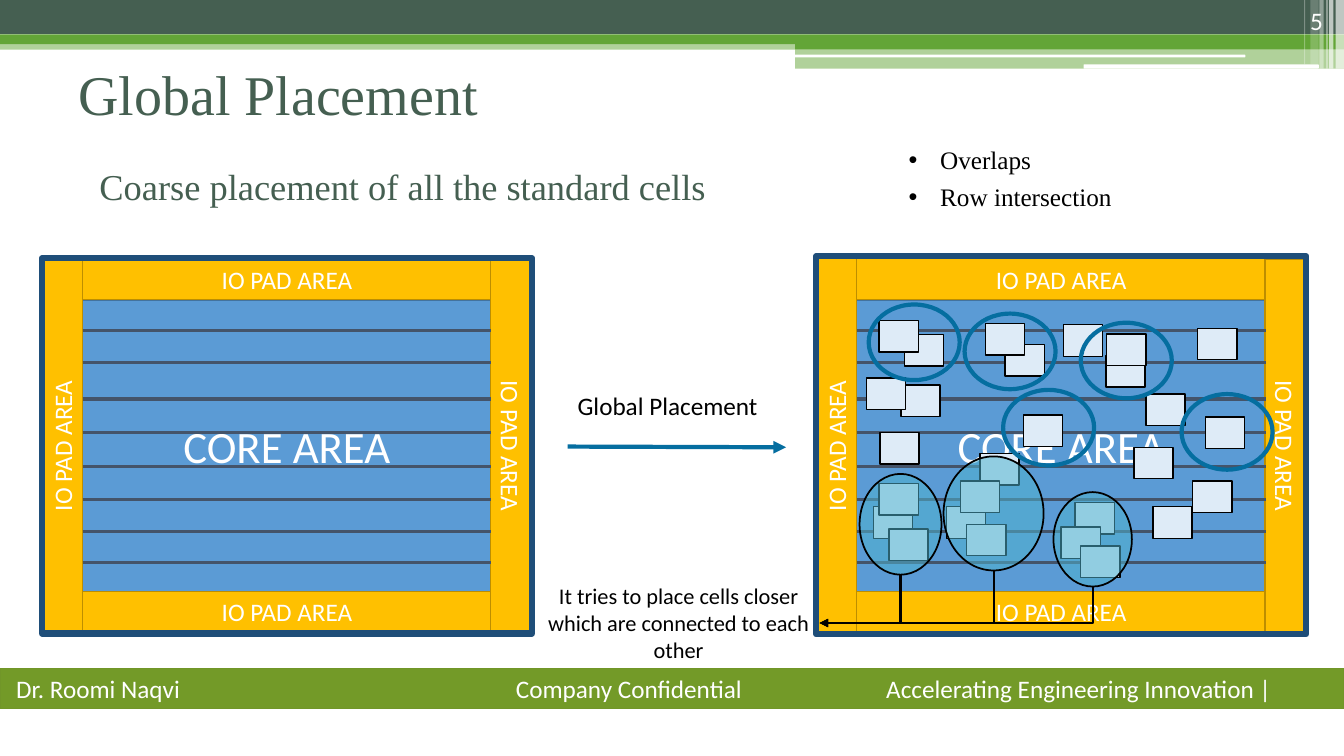
from lxml.etree import SubElement
from pptx import Presentation
from pptx.dml.color import RGBColor
from pptx.enum.shapes import MSO_CONNECTOR, MSO_SHAPE
from pptx.enum.text import MSO_ANCHOR, PP_ALIGN
from pptx.oxml.ns import qn
from pptx.util import Pt

COLORS = {
    "white": "FFFFFF", "black": "000000", "pine": "455F51", "green": "63A537",
    "footer": "739A28", "footer_line": "719629", "core": "5B9BD5",
    "core_line": "43739E", "pad": "FFC000", "pad_line": "BD8E00",
    "frame": "1F4E79", "row": "44546A", "cell": "DEEBF7",
    "accent": "056EA0", "cluster": "4EB3CF",
}
SERIF = "Times New Roman"
SANS = "Calibri"

STRIPES = [
    (0, 29, 960, 6.5, "green", 50), (0, 0, 960, 24.5, "pine", 100),
    (0, 24.5, 960, 7, "green", 100), (568, 28, 392, 7, "green", 100),
    (568, 34.5, 392, 14.5, "green", 50),
]
HIGHLIGHTS = [(567.5, 39, 322, 2), (774, 46, 168, 3)]
EDGE_BARS = [
    (954, 6, 49, 65), (949.5, 3, 49, 65), (947.5, 0.8, 49, 60),
    (942.5, 3, 49, 40), (936, 6, 46, 20), (931.5, 0.8, 46, 30),
]
ROW_TOPS = [236, 259, 285, 309, 333.5, 357, 379.5, 402]
CELLS = [
    (861, 298), (628.5, 309), (624, 362), (731, 296.5), (810, 319.5),
    (852, 343.5), (686, 323.5), (768, 359), (758, 376.5), (855.5, 234.5),
    (643.5, 275), (619, 270), (823.5, 362), (818.5, 281.5), (700, 324),
    (676, 362), (790, 254), (790.5, 238.5), (759.5, 232), (718, 246),
    (704, 231), (646, 239), (628, 229), (686, 343.5),
    (628, 345.5), (635, 378), (772, 390), (690.5, 374.5),
]
CELLS.remove((686, 323.5))
OVERLAPS = [(620.5, 217.5), (689, 224), (772, 230.5), (844, 281.5), (716.5, 278.5)]
CLUSTERS = [
    (614, 338.5, 58.5, 72), (752.5, 351.5, 56, 67.5), (674, 326, 71.5, 81.5),
]
NOTE_RIGHT, NOTE_MIDDLE = 585.5, 445


def rgb(name):
    return RGBColor.from_string(COLORS[name])


def set_attributes(target, values):
    for name, value in values.items():
        setattr(target, name, value)


def write(shape, text, size, color, font=SANS, align=PP_ALIGN.LEFT,
          anchor=MSO_ANCHOR.TOP, **frame_values):
    frame = shape.text_frame
    set_attributes(frame, {"word_wrap": True, "vertical_anchor": anchor, **frame_values})
    paragraph = frame.paragraphs[0]
    paragraph.alignment = align
    run = paragraph.add_run()
    run.text = text
    set_attributes(run.font, {"name": font, "size": Pt(size)})
    run.font.color.rgb = rgb(color)
    return paragraph


def add_text(slide, box, text, size, color="black", **options):
    text_box = slide.shapes.add_textbox(*map(Pt, box))
    return write(text_box, text, size, color, **options)


def add_block(slide, box, fill=None, line=None, width=1, opacity=100,
              kind=MSO_SHAPE.RECTANGLE):
    shape = slide.shapes.add_shape(kind, *map(Pt, box))
    shape.shadow.inherit = False
    if fill:
        shape.fill.solid()
        shape.fill.fore_color.rgb = rgb(fill)
        if opacity < 100:
            color = shape.fill._xPr.find(".//" + qn("a:srgbClr"))
            SubElement(color, qn("a:alpha"), val=str(opacity * 1000))
    else:
        shape.fill.background()
    if line:
        shape.line.color.rgb = rgb(line)
        shape.line.width = Pt(width)
    else:
        shape.line.fill.background()
    return shape


def add_line(slide, start, end, color, width, arrow=False, kind=MSO_CONNECTOR.STRAIGHT):
    line = slide.shapes.add_connector(kind, *map(Pt, (*start, *end)))
    line.line.color.rgb = rgb(color)
    line.line.width = Pt(width)
    properties = line._element.spPr
    if arrow:
        SubElement(properties.find(qn("a:ln")), qn("a:tailEnd"), type="triangle")
    SubElement(properties, qn("a:effectLst"))
    return line


def add_elbow(slide, start, end):
    middle_x, middle_y = (start[0] + end[0]) / 2, (start[1] + end[1]) / 2
    half_drop, half_run = (end[1] - start[1]) / 2, (start[0] - end[0]) / 2
    elbow = add_line(slide, (middle_x - half_drop, middle_y - half_run),
                     (middle_x + half_drop, middle_y + half_run),
                     "black", 1.5, True, MSO_CONNECTOR.ELBOW)
    properties = elbow._element.spPr
    properties.find(qn("a:prstGeom")).set("prst", "bentConnector2")
    properties.find(qn("a:xfrm")).set("rot", "5400000")


def add_bullet(slide, top, text):
    paragraph = add_text(slide, (642, top, 280, 29), text, 18, font=SERIF)
    properties = paragraph._p.get_or_add_pPr()
    properties.set("marL", str(Pt(22.5)))
    properties.set("indent", str(-Pt(22.5)))
    SubElement(properties, qn("a:buFont"), typeface="Arial")
    SubElement(properties, qn("a:buChar"), char="•")


def add_banner(slide):
    for *box, color, opacity in STRIPES:
        add_block(slide, box, color, opacity=opacity)
    for box in HIGHLIGHTS:
        add_block(slide, box, "white", kind=MSO_SHAPE.ROUNDED_RECTANGLE)
    for left, width, height, opacity in EDGE_BARS:
        add_block(slide, (left, 0, width, height), "white", opacity=opacity)
    add_text(slide, (873.5, 0, 78.5, 29), "5", 18, "white",
             align=PP_ALIGN.RIGHT, anchor=MSO_ANCHOR.BOTTOM)


def add_footer(slide):
    bar = add_block(slide, (0, 477.5, 960, 28.5), "footer", "footer_line")
    text = "Dr. Roomi Naqvi\tCompany Confidential\tAccelerating Engineering Innovation |"
    paragraph = write(bar, text, 18, "white", anchor=MSO_ANCHOR.MIDDLE, margin_left=Pt(11.5))
    tabs = SubElement(paragraph._p.get_or_add_pPr(), qn("a:tabLst"))
    for position in (357, 621.5):
        SubElement(tabs, qn("a:tab"), pos=str(Pt(position)), algn="l")


def add_die(slide, left, frame_top, frame_height):
    centred = {"align": PP_ALIGN.CENTER, "anchor": MSO_ANCHOR.MIDDLE}
    core = add_block(slide, (left + 29, 214.5, 292, 208), "core", "core_line")
    write(core, "CORE AREA", 32, "white", **centred)
    pads = [
        (0, 184.5, 350, 29.5, 0), (0, 422.5, 350, 29, 0),
        (201.5, 304, 267, 29, 90), (-119.5, 304, 267.5, 29, 270),
    ]
    for offset, top, width, height, rotation in pads:
        pad = add_block(slide, (left + offset, top, width, height), "pad", "pad_line")
        pad.rotation = rotation
        write(pad, "IO PAD AREA", 18, "white", **centred)
    add_block(slide, (left, frame_top, 350, frame_height), line="frame", width=4.5)
    for top in ROW_TOPS:
        add_line(slide, (left + 29, top), (left + 321, top), "row", 2.25)


def main():
    presentation = Presentation()
    set_attributes(presentation, {"slide_width": Pt(960), "slide_height": Pt(540)})
    slide = presentation.slides.add_slide(presentation.slide_layouts[6])
    add_banner(slide)
    add_footer(slide)
    add_die(slide, 583, 183, 270)
    add_die(slide, 30, 184.5, 268)

    add_text(slide, (49, 39, 864, 84), "Global Placement", 40, "pine", font=SERIF)
    add_text(slide, (64, 114, 560, 40), "Coarse placement of all the standard cells",
             26, "pine", font=SERIF)
    add_bullet(slide, 99.5, "Overlaps")
    add_bullet(slide, 126, "Row intersection")
    add_line(slide, (405.5, 319), (561.5, 319.5), "accent", 3, True)
    add_text(slide, (405.5, 275, 156, 29), "Global Placement", 18)

    for left, top in CELLS:
        add_block(slide, (left, top, 28, 22.5), "cell", "black")
    for left, top in OVERLAPS:
        add_block(slide, (left, top, 65, 54), line="accent", width=3, kind=MSO_SHAPE.OVAL)
    margins = dict.fromkeys(("margin_left", "margin_top", "margin_right", "margin_bottom"), 0)
    add_text(slide, (384, 416, 201.5, 58.5),
             "It tries to place cells closer which are connected to each other",
             16, align=PP_ALIGN.CENTER, **margins)
    for left, top, width, height in CLUSTERS:
        add_block(slide, (left, top, width, height), "cluster", "black", 1.25, 53, MSO_SHAPE.OVAL)
        add_elbow(slide, (left + width / 2, top + height), (NOTE_RIGHT, NOTE_MIDDLE))
    presentation.save("out.pptx")


if __name__ == "__main__":
    main()
